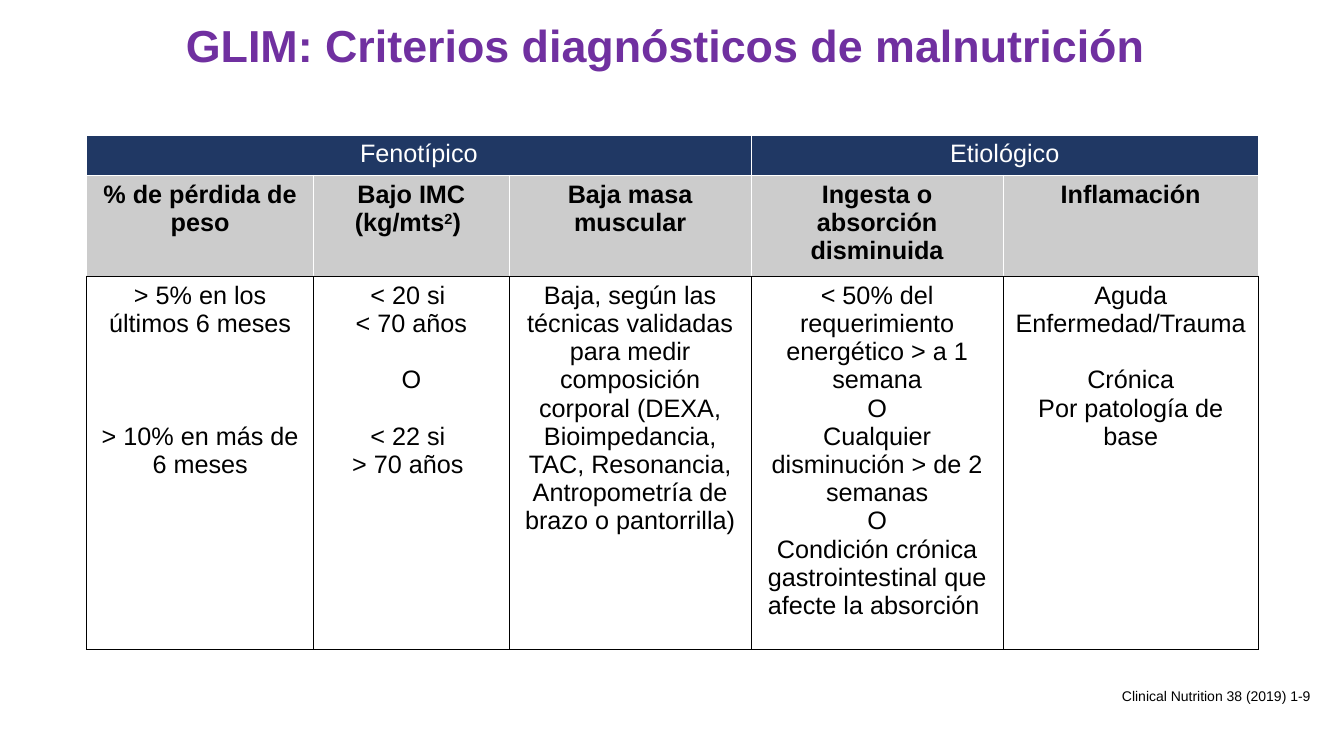
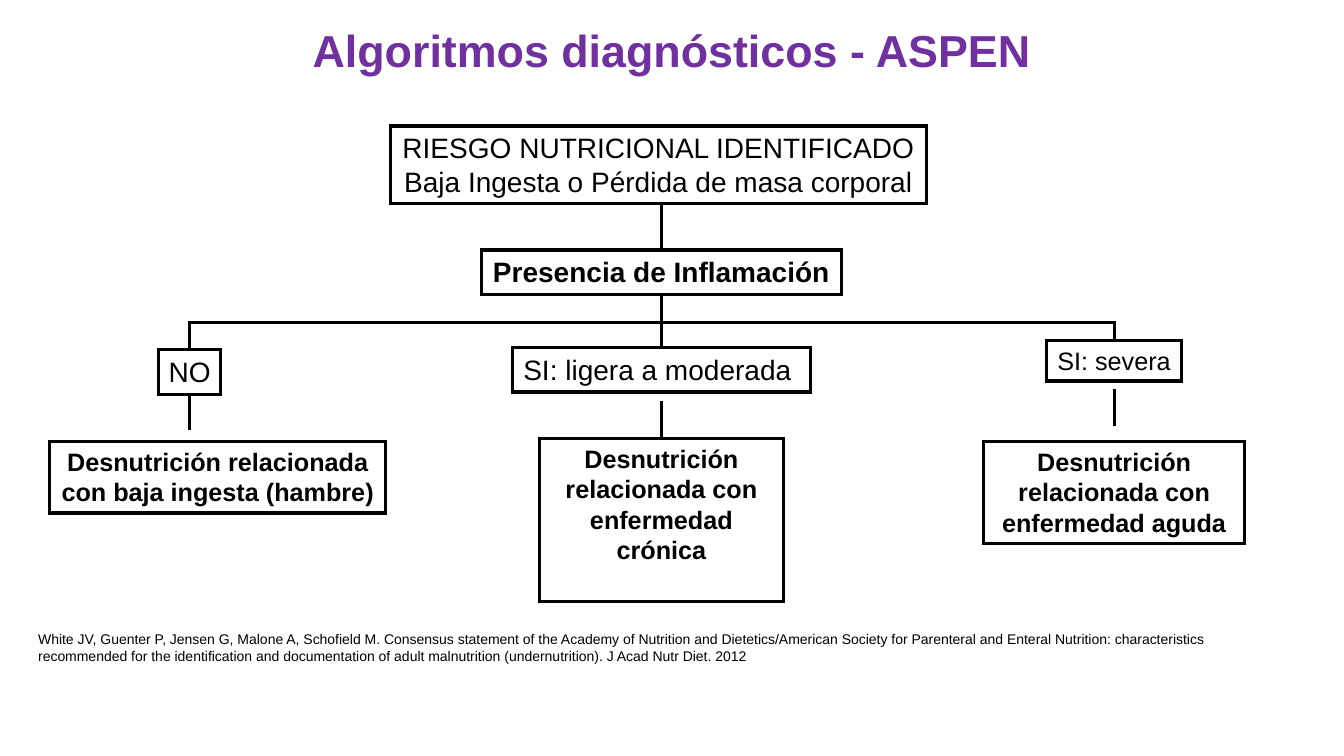
import pptx
import pptx.util
import pptx.dml.color
import pptx.enum.shapes
import pptx.enum.text
import pptx.oxml.ns
from lxml import etree

Inches = pptx.util.Inches
Pt = pptx.util.Pt
ALIGN = pptx.enum.text.PP_ALIGN
ANCHOR = pptx.enum.text.MSO_ANCHOR
CONNECTOR = pptx.enum.shapes.MSO_CONNECTOR
RECTANGLE = pptx.enum.shapes.MSO_SHAPE.RECTANGLE
qn = pptx.oxml.ns.qn

FONT = "Arial"
COLORS = {
    "title": "7030A0",
    "group": "203864",
    "heading": "CCCCCC",
    "white": "FFFFFF",
    "black": "000000",
}
SLIDE_WIDTH, SLIDE_HEIGHT = 13.33, 7.5
LINE_WIDTH = 2.25
BLANK_LINE = 20.25  # points, height of one line of table text
TOP, BOTTOM = 0, 2  # connection sites of a rectangle


def rgb(name):
    return pptx.dml.color.RGBColor.from_string(COLORS[name])


# Shared text and shape helpers
def style_paragraph(paragraph, size, color="black", bold=False, align=ALIGN.CENTER):
    paragraph.alignment = align
    font = paragraph.font
    font.name, font.size, font.bold = FONT, Pt(size), bold
    font.color.rgb = rgb(color)


def write_lines(text_frame, lines, size, **style):
    for index, line in enumerate(lines):
        paragraph = text_frame.paragraphs[0] if index == 0 else text_frame.add_paragraph()
        paragraph.add_run().text = line
        style_paragraph(paragraph, size, **style)


def add_rectangle(slide, box, lines, size, wrap=True, **style):
    shape = slide.shapes.add_shape(RECTANGLE, *map(Inches, box))
    shape.shadow.inherit = False
    shape.text_frame.word_wrap = wrap
    shape.text_frame.vertical_anchor = ANCHOR.TOP
    write_lines(shape.text_frame, lines, size, **style)
    return shape


def style_line(line):
    line.color.rgb = rgb("black")
    line.width = Pt(LINE_WIDTH)
    etree.SubElement(line._get_or_add_ln(), qn("a:miter"), lim="800000")


def add_titled_slide(presentation, title, title_height):
    slide = presentation.slides.add_slide(presentation.slide_layouts[6])
    text_frame = slide.shapes.add_textbox(
        0, 0, Inches(SLIDE_WIDTH), Inches(title_height)).text_frame
    text_frame.word_wrap = True
    text_frame.vertical_anchor = ANCHOR.MIDDLE
    write_lines(text_frame, [title], 32, color="title", bold=True)
    text_frame.paragraphs[0].line_spacing = 0.9
    return slide


def add_citation(slide, box, text):
    shape = add_rectangle(slide, box, [text], 10, align=ALIGN.LEFT)
    shape.fill.solid()
    shape.fill.fore_color.rgb = rgb("white")
    shape.line.fill.background()


# Criteria table
GROUPS = [("Fenotípico", 0, 2), ("Etiológico", 3, 4)]
# Each column: width, heading (^ marks a superscript), lines as (blank lines before, text)
CRITERIA = [
    (2.25, "% de pérdida de peso",
     [(0, "> 5% en los últimos 6 meses"), (3, "> 10% en más de 6 meses")]),
    (1.94, "Bajo IMC (kg/mts^2^) ",
     [(0, "< 20 si "), (0, "< 70 años"), (1, "O"), (1, "< 22 si "), (0, "> 70 años ")]),
    (2.4, "Baja masa muscular",
     [(0, "Baja, según las técnicas validadas para medir composición corporal (DEXA, "
          "Bioimpedancia, TAC, Resonancia, Antropometría de brazo o pantorrilla)")]),
    (2.5, "Ingesta o absorción disminuida",
     [(0, "< 50% del requerimiento energético > a 1 semana"), (0, "O"),
      (0, "Cualquier disminución > de 2 semanas"), (0, "O"),
      (0, "Condición crónica gastrointestinal que afecte la absorción ")]),
    (2.53, "Inflamación",
     [(0, "Aguda"), (0, "Enfermedad/Trauma"), (1, "Crónica"), (0, "Por patología de base")]),
]
ROW_HEIGHTS = [0.38, 0.94, 3.5]
ROW_STYLES = [("group", "white"), ("heading", "white"), ("white", "black")]  # fill, border


def style_cell(cell, fill, border):
    properties = cell._tc.get_or_add_tcPr()
    for side in ("a:lnL", "a:lnR", "a:lnT", "a:lnB"):
        line = etree.SubElement(properties, qn(side), w=str(Pt(1)))
        solid = etree.SubElement(line, qn("a:solidFill"))
        etree.SubElement(solid, qn("a:srgbClr"), val=COLORS[border])
    cell.fill.solid()
    cell.fill.fore_color.rgb = rgb(fill)


def write_heading(cell, heading):
    paragraph = cell.text_frame.paragraphs[0]
    for index, part in enumerate(heading.split("^")):
        run = paragraph.add_run()
        run.text = part
        if index % 2:
            run.font._element.set("baseline", "30000")
    style_paragraph(paragraph, 18, bold=True)


def add_criteria_table(slide, left, top):
    widths = [width for width, _, _ in CRITERIA]
    table = slide.shapes.add_table(
        len(ROW_HEIGHTS), len(CRITERIA), Inches(left), Inches(top),
        Inches(sum(widths)), Inches(sum(ROW_HEIGHTS))).table
    table.first_row = table.horz_banding = False
    for column, width in zip(table.columns, widths):
        column.width = Inches(width)
    for row, height, (fill, border) in zip(table.rows, ROW_HEIGHTS, ROW_STYLES):
        row.height = Inches(height)
        for cell in row.cells:
            style_cell(cell, fill, border)

    for name, first, last in GROUPS:
        table.cell(0, first).merge(table.cell(0, last))
        write_lines(table.cell(0, first).text_frame, [name], 18, color="white")
    for index, (_, heading, lines) in enumerate(CRITERIA):
        write_heading(table.cell(1, index), heading)
        text_frame = table.cell(2, index).text_frame
        write_lines(text_frame, [text for _, text in lines], 18)
        for paragraph, (blank_lines, _) in zip(text_frame.paragraphs, lines):
            if blank_lines:
                paragraph.space_before = Pt(blank_lines * BLANK_LINE)


def build_criteria_slide(presentation):
    slide = add_titled_slide(presentation, "GLIM: Criterios diagnósticos de malnutrición ", 0.95)
    add_criteria_table(slide, 0.86, 1.34)
    add_citation(slide, (11.03, 6.77, 2.14, 0.2), "Clinical Nutrition 38 (2019) 1-9")


# Decision tree
def add_box(slide, center, top, width, height, lines, size=20, bold=False, wrap=False):
    shape = add_rectangle(slide, (center - width / 2, top, width, height), lines, size,
                          wrap=wrap, bold=bold)
    shape.fill.background()
    style_line(shape.line)
    return shape


def add_line(slide, x, start, end, upper=None, lower=None, kind=CONNECTOR.STRAIGHT):
    """Draw a line downwards, joined to the upper and lower boxes where given."""
    connector = slide.shapes.add_connector(kind, Inches(x), Inches(start), Inches(x), Inches(end))
    if upper is not None:
        connector.begin_connect(upper, BOTTOM)
    if lower is not None:
        connector.end_connect(lower, TOP)
    style_line(connector.line)
    etree.SubElement(connector._element.spPr, qn("a:effectLst"))
    return connector


def add_branch(slide, upper, lower, bend):
    """Join two boxes by an elbow that turns sideways at the height bend."""
    connector = add_line(slide, 0, 0, 0, upper, lower, CONNECTOR.ELBOW)
    start_x, start_y = connector.begin_x, connector.begin_y
    across, down = connector.end_x - start_x, connector.end_y - start_y
    # The elbow runs sideways first, so it is turned a quarter to run down first
    connector.left = int(start_x + across / 2 - down / 2)
    connector.top = int(start_y + down / 2 - abs(across) / 2)
    connector.width, connector.height = down, abs(across)
    properties = connector._element.spPr
    transform = properties.find(qn("a:xfrm"))
    transform.set("rot", "5400000" if across < 0 else "16200000")
    transform.set("flipH", "0" if across < 0 else "1")
    adjustments = properties.find(qn("a:prstGeom")).find(qn("a:avLst"))
    share = round((Inches(bend) - start_y) / down * 100000)
    etree.SubElement(adjustments, qn("a:gd"), name="adj1", fmla=f"val {share}")


def build_algorithm_slide(presentation):
    slide = add_titled_slide(presentation, "Algoritmos diagnósticos - ASPEN", 1.05)
    left, middle, right = 1.88, 6.56, 11.05  # branch axes

    # Boxes
    risk_center = middle - 0.03
    add_box(slide, risk_center, 1.25, 5.32, 0.77,
            ["RIESGO NUTRICIONAL IDENTIFICADO", "Baja Ingesta o Pérdida de masa corporal"])
    inflammation = add_box(slide, middle, 2.48, 3.57, 0.44, ["Presencia de Inflamación"],
                           bold=True)
    absent = add_box(slide, left, 3.47, 0.62, 0.44, ["NO"])
    moderate = add_box(slide, middle, 3.45, 2.96, 0.44, ["SI: ligera a moderada "])
    severe = add_box(slide, right, 3.38, 1.34, 0.4, ["SI: severa"], size=18)
    add_box(slide, left + 0.28, 4.38, 3.33, 0.71,
            ["Desnutrición relacionada", "con baja ingesta (hambre)"], size=18, bold=True)
    chronic = add_box(slide, middle, 4.35, 2.42, 1.62,
                      ["Desnutrición relacionada con enfermedad crónica"],
                      size=18, bold=True, wrap=True)
    add_box(slide, right, 4.38, 2.59, 1.01,
            ["Desnutrición relacionada con enfermedad aguda"], size=18, bold=True, wrap=True)

    # Connectors
    add_line(slide, middle, 2.02, 2.48, lower=inflammation)
    add_line(slide, middle, 2.92, 3.45, inflammation, moderate)
    for answer in (absent, severe):
        add_branch(slide, inflammation, answer, 3.2)
    add_line(slide, left, 3.91, 4.27, upper=absent)
    add_line(slide, middle, 3.98, 4.35, lower=chronic)
    add_line(slide, right, 3.86, 4.23)

    add_citation(
        slide, (0.28, 6.21, 12.44, 0.44),
        "White JV, Guenter P, Jensen G, Malone A, Schofield M. Consensus statement of the Academy "
        "of Nutrition and Dietetics/American Society for Parenteral and Enteral Nutrition: "
        "characteristics recommended for the identification and documentation of adult "
        "malnutrition (undernutrition). J Acad Nutr Diet. 2012")


def main():
    presentation = pptx.Presentation()
    presentation.slide_width = Inches(SLIDE_WIDTH)
    presentation.slide_height = Inches(SLIDE_HEIGHT)
    build_criteria_slide(presentation)
    build_algorithm_slide(presentation)
    presentation.save("out.pptx")


if __name__ == "__main__":
    main()
